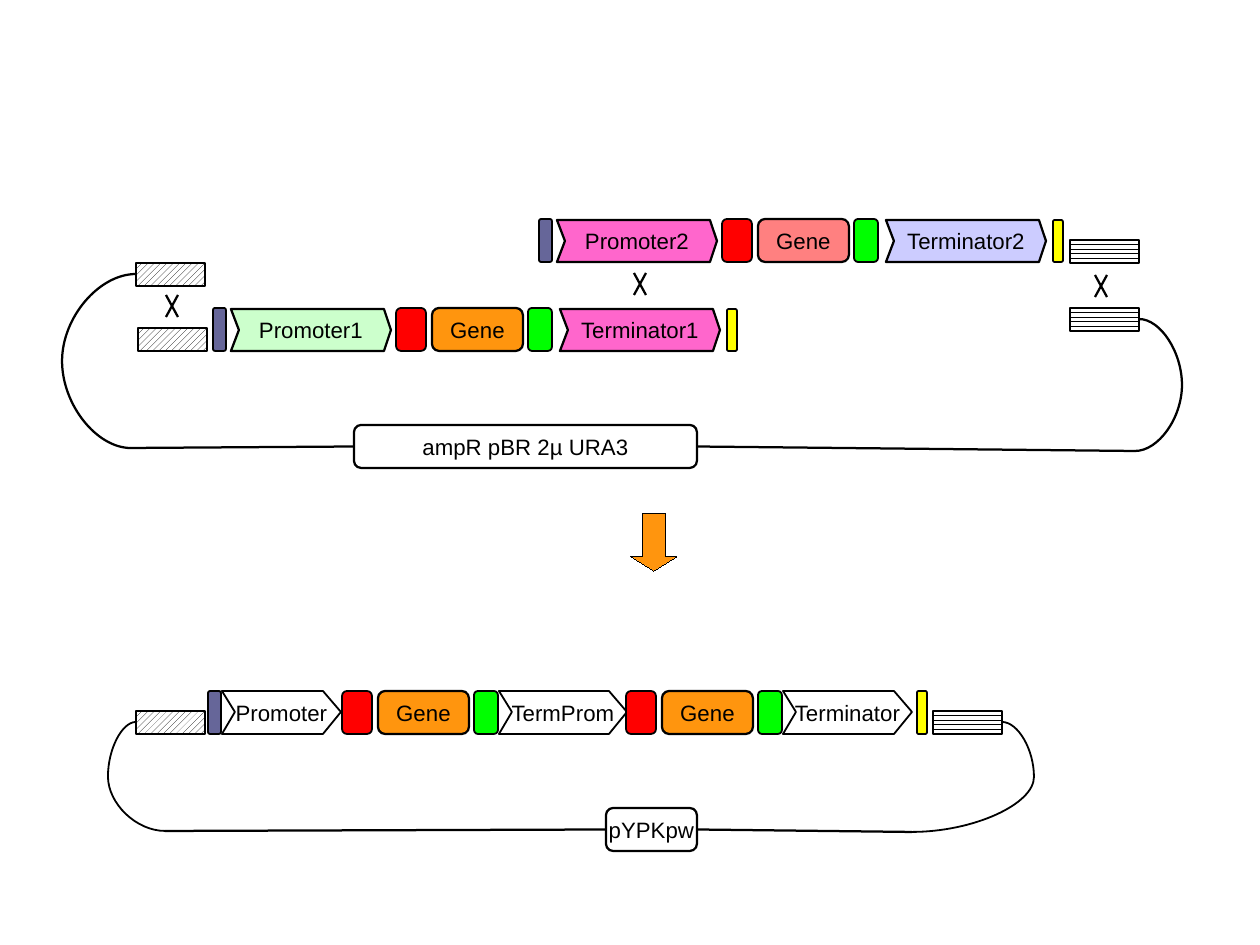
from dataclasses import dataclass

from lxml.etree import SubElement
from pptx import Presentation
from pptx.dml.color import RGBColor
from pptx.enum.dml import MSO_PATTERN
from pptx.enum.shapes import MSO_CONNECTOR, MSO_SHAPE
from pptx.enum.text import MSO_ANCHOR, PP_ALIGN
from pptx.oxml.ns import qn
from pptx.util import Pt

PX = 8000  # EMU per px: 1260 by 945 px is 28 by 21 cm


@dataclass(frozen=True)
class Theme:
    font: str = "Arial"
    size: int = 14
    hairline: float = 0.01
    thin: float = 1.13
    thick: float = 1.42
    ink: str = "000000"
    paper: str = "FFFFFF"
    purple: str = "666699"
    red: str = "FF0000"
    green: str = "00FF00"
    yellow: str = "FFFF00"
    orange: str = "FF950E"
    salmon: str = "FF8080"
    pink: str = "FF66CC"
    mint: str = "CCFFCC"
    lilac: str = "CCCCFF"


T = Theme()
SITE_W, SITE_H = 69, 23
MARK_H = 43
HATCH, STRIPES = MSO_PATTERN.WIDE_UPWARD_DIAGONAL, MSO_PATTERN.HORIZONTAL


def rgb(color):
    return RGBColor.from_string(color)


def write(shape, text, size=T.size, color=T.ink, align=PP_ALIGN.CENTER):
    tf = shape.text_frame
    tf.word_wrap = False
    tf.vertical_anchor = MSO_ANCHOR.MIDDLE
    tf.margin_left = tf.margin_right = 13 * PX
    tf.margin_top = tf.margin_bottom = 7 * PX
    p = tf.paragraphs[0]
    p.alignment = align
    r = p.add_run()
    r.text = text
    r.font.name, r.font.size = T.font, Pt(size)
    r.font.color.rgb = rgb(color)


def style(shape, fill=None, weight=T.thin, text=None):
    shape.shadow.inherit = False
    if fill:
        shape.fill.solid()
        shape.fill.fore_color.rgb = rgb(fill)
    else:
        shape.fill.background()
    shape.line.color.rgb = rgb(T.ink)
    shape.line.width = Pt(weight)
    if text:
        write(shape, text)
    return shape


def preset(s, kind, x, y, w, h, adj=(), **look):
    shape = s.shapes.add_shape(kind, x * PX, y * PX, w * PX, h * PX)
    for i, value in enumerate(adj):
        shape.adjustments[i] = value
    return style(shape, **look)


def rounded(s, x, y, w, h=MARK_H, **look):
    return preset(s, MSO_SHAPE.ROUNDED_RECTANGLE, x, y, w, h, (0.167,), **look)


def chevron(s, x, y, w, h, notch, point, **look):
    fb = s.shapes.build_freeform(x, y, scale=PX)
    fb.add_line_segments([(x + w - point, y), (x + w, y + h / 2),
                          (x + w - point, y + h), (x, y + h),
                          (x + notch, y + h / 2)], close=True)
    return style(fb.convert_to_shape(), **look)


def connector(s, x1, y1, x2, y2, weight=T.thick, via=None):
    kind = MSO_CONNECTOR.STRAIGHT if via is None else MSO_CONNECTOR.CURVE
    c = s.shapes.add_connector(kind, x1 * PX, y1 * PX, x2 * PX, y2 * PX)
    c.line.color.rgb = rgb(T.ink)
    c.line.width = Pt(weight)
    sp_pr = c._element.spPr
    SubElement(sp_pr, qn("a:effectLst"))
    if via is not None:  # bulge of the curve, relative to its width
        ratio = round((via - x1) / (x2 - x1) * 100000)
        guides = sp_pr.find(qn("a:prstGeom")).get_or_add_avLst()
        SubElement(guides, qn("a:gd"), name="adj1", fmla=f"val {ratio}")
    return c


def site(s, x, y, pattern):
    """Homology site with a patterned fill."""
    shape = preset(s, MSO_SHAPE.RECTANGLE, x, y, SITE_W, SITE_H)
    shape.fill.patterned()
    shape.fill.pattern = pattern
    shape.fill.fore_color.rgb = rgb(T.ink)
    shape.fill.back_color.rgb = rgb(T.paper)


def crossover(s, cx, cy):
    for dx in (-6, 6):
        connector(s, cx + dx, cy - 11, cx - dx, cy + 11)


def gene(s, x, y, fill):
    """Gene between its red and green linkers."""
    rounded(s, x, y, 30, fill=T.red)
    rounded(s, x + 36, y, 91, fill=fill, weight=T.thick, text="Gene")
    rounded(s, x + 132, y, 24, fill=T.green)


def cassette(s, x, y, promoter, terminator, gene_fill):
    """Transcription unit; promoter and terminator are (text, fill)."""
    rounded(s, x, y, 13, fill=T.purple)
    for dx, (text, fill) in ((18, promoter), (347, terminator)):
        chevron(s, x + dx, y + 1, 160, 42, 8, 7,
                fill=fill, weight=T.thick, text=text)
    gene(s, x + 183, y, gene_fill)
    rounded(s, x + 514, y + 1, 10, 42, fill=T.yellow)


def pathway(s, x, y):
    """Two joined transcription units."""
    for dx, w, text in ((14, 119, "Promoter"), (291, 128, "TermProm"),
                        (575, 129, "Terminator")):
        chevron(s, x + dx, y, w, MARK_H, 13, 18, text=text)
    rounded(s, x, y, 13, fill=T.purple)
    for dx in (134, 418):
        gene(s, x + dx, y, T.orange)
    rounded(s, x + 709, y, 10, fill=T.yellow)


def backbone(s, box, name, label, left, right, left_end, right_end, weight):
    """Vector loop as wide as its box; part offsets count from the box corner."""
    x, y, w, _ = box
    lx, ly, lw, lh = label
    plasmid = rounded(s, x + lx, y + ly, lw, lh, weight=T.thick, text=name)
    ends = ((left, left_end, HATCH, 0, x, 1),
            (right, right_end, STRIPES, SITE_W, x + w, 3))
    for (sx, sy), (ex, ey), pattern, side, via, joint in ends:
        site(s, x + sx, y + sy, pattern)
        connector(s, x + sx + side, y + sy + SITE_H // 2, x + ex, y + ey,
                  weight, via)
        line = connector(s, x + ex, y + ey, x + lx, y + ly + lh // 2)
        line.end_connect(plasmid, joint)


def main():
    prs = Presentation()
    prs.slide_width, prs.slide_height = 1260 * PX, 945 * PX
    s = prs.slides.add_slide(prs.slide_layouts[6])

    # Vector and the two units to be recombined
    backbone(s, (62, 263, 1120, 189), "ampR pBR 2µ URA3", (292, 162, 343, 43),
             (74, 0), (1008, 45), (69, 185), (1073, 188), T.thick)
    site(s, 138, 328, HATCH)
    cassette(s, 213, 308, ("Promoter1", T.mint), ("Terminator1", T.pink), T.orange)
    cassette(s, 539, 219, ("Promoter2", T.pink), ("Terminator2", T.lilac), T.salmon)
    site(s, 1070, 240, STRIPES)
    for cx, cy in ((172, 306), (640, 284), (1101, 286)):
        crossover(s, cx, cy)

    # Step to the product
    preset(s, MSO_SHAPE.DOWN_ARROW, 631, 514, 46, 57, (0.5, 0.312),
           fill=T.orange, weight=T.hairline)

    # Assembled plasmid
    backbone(s, (108, 691, 926, 141), "pYPKpw", (498, 117, 91, 43),
             (28, 20), (825, 20), (57, 140), (804, 141), T.thin)
    pathway(s, 208, 691)

    prs.save("out.pptx")


if __name__ == "__main__":
    main()
